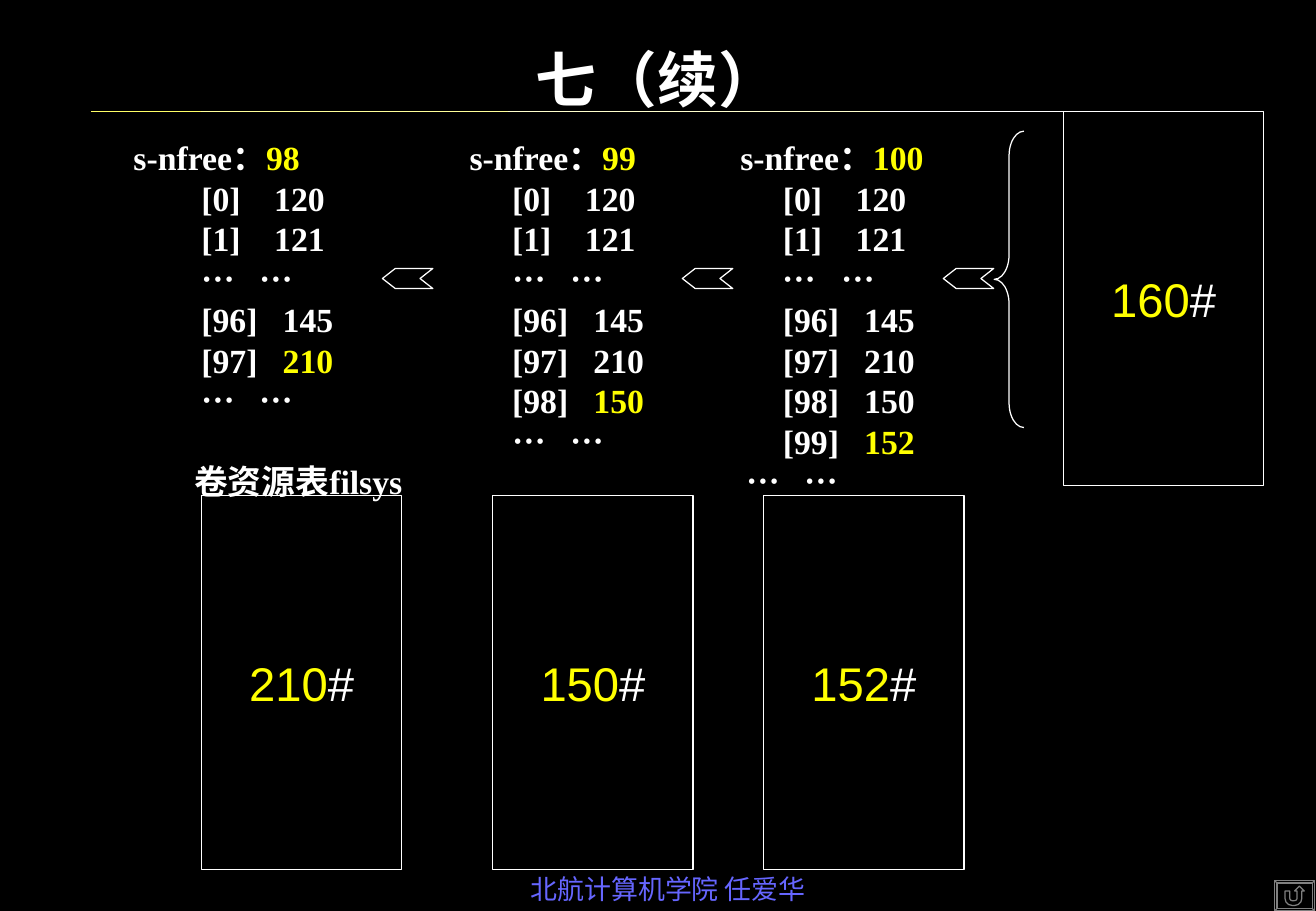
from dataclasses import dataclass

from lxml.etree import SubElement
from pptx import Presentation
from pptx.dml.color import RGBColor
from pptx.enum.shapes import MSO_CONNECTOR, MSO_SHAPE
from pptx.enum.text import MSO_ANCHOR, MSO_AUTO_SIZE, PP_ALIGN
from pptx.oxml.ns import qn
from pptx.util import Inches, Pt


@dataclass(frozen=True)
class Theme:
    black: str = "000000"
    white: str = "FFFFFF"
    yellow: str = "FFFF00"
    footer: str = "6666FF"
    button: str = "808080"
    rules: tuple = ("FFFF66", "FFFF99", "FFFFCC", "FFFFFF")
    title_size: int = 36
    block_size: int = 28
    list_size: int = 20
    footer_size: int = 16
    leading: int = 24
    line: float = 0.75
    latin: str = "Times New Roman"
    cjk: str = "Noto Sans CJK SC"
    heading: str = "Noto Sans CJK JP"
    sans: str = "Arial"


T = Theme()
WIDTH, HEIGHT = Inches(10.84), Inches(7.5)
ENTRIES = [(0, 120), (1, 121), None, (96, 145), (97, 210), (98, 150), (99, 152)]
ELLIPSIS_GAP = 0.48
INDEX_STOP = 0.56


def box(x, y, w, h):
    return int(WIDTH * x / 100), int(HEIGHT * y / 100), int(WIDTH * w / 100), int(HEIGHT * h / 100)


def apply(obj, **values):
    for name, value in values.items():
        setattr(obj, name, value)


def add_run(p, text, size, color, latin, cjk=T.cjk, bold=False):
    r = p.add_run()
    r.text = text
    apply(r.font, size=Pt(size), bold=bold, name=latin)
    r.font.color.rgb = RGBColor.from_string(color)
    SubElement(r.font._element, qn("a:ea")).set("typeface", cjk)


def add_text(slide, area):
    tf = slide.shapes.add_textbox(*box(*area)).text_frame
    tf.word_wrap = True
    return tf


def add_outline(slide, kind, area, color=T.white, adjustments=(), rotation=0):
    sp = slide.shapes.add_shape(kind, *box(*area))
    sp.shadow.inherit = False
    sp.fill.background()
    sp.line.color.rgb = RGBColor.from_string(color)
    sp.line.width = Pt(T.line)
    sp.rotation = rotation
    for i, value in enumerate(adjustments):
        sp.adjustments[i] = value
    return sp


def add_block(slide, x, y, number):
    tf = add_outline(slide, MSO_SHAPE.RECTANGLE, (x, y, 15.22, 41.07)).text_frame
    apply(tf, word_wrap=False, vertical_anchor=MSO_ANCHOR.MIDDLE)
    p = tf.paragraphs[0]
    p.alignment = PP_ALIGN.CENTER
    for text, color in ((str(number), T.yellow), ("#", T.white)):
        add_run(p, text, T.block_size, color, T.sans)


def add_row(tf, stops, parts, before=0):
    p = tf.paragraphs[0] if not tf.paragraphs[0].runs else tf.add_paragraph()
    apply(p, alignment=PP_ALIGN.LEFT, line_spacing=Pt(T.leading), space_before=Pt(before))
    if stops:
        tabs = SubElement(p._p.get_or_add_pPr(), qn("a:tabLst"))
        for stop in stops:
            tab = SubElement(tabs, qn("a:tab"))
            tab.set("pos", str(int(Inches(stop))))
            tab.set("algn", "l")
    for text, color, font in parts:
        add_run(p, text, T.list_size, color, font, bold=True)


def add_ellipsis(tf, start=INDEX_STOP):
    add_row(tf, (start, start + ELLIPSIS_GAP), [("\t…\t…", T.white, T.cjk)])


def add_free_list(slide, x, width, count, header_stop=0, end_stop=INDEX_STOP, caption=None):
    tf = add_text(slide, (x, 14.4, width, 41.33))
    lead = "\t" if header_stop else ""
    add_row(tf, (header_stop,) if header_stop else (),
            [(lead + "s-nfree：", T.white, T.latin), (str(count), T.yellow, T.latin)])
    for entry in ENTRIES:
        if entry is None:
            add_ellipsis(tf)
        elif entry[0] < count:
            index, value = entry
            color = T.yellow if index == count - 1 else T.white
            value_stop = 1.16 if index < 10 else 1.23
            add_row(tf, (INDEX_STOP, value_stop),
                    [(f"\t[{index}]\t", T.white, T.latin), (str(value), color, T.latin)])
    add_ellipsis(tf, end_stop)
    if caption:
        add_row(tf, (0.5,), [("\t" + caption, T.white, T.latin)], T.leading)


def add_rule(slide, start, length, color):
    x, y, w, _ = box(start, 12.27, length, 0)
    line = slide.shapes.add_connector(MSO_CONNECTOR.STRAIGHT, x, y, x + w, y)
    line.line.color.rgb = RGBColor.from_string(color)
    line.line.width = Pt(T.line)
    SubElement(line._element.spPr, qn("a:effectLst"))


def add_title_rule(slide):
    dark, mid, pale, white = T.rules
    for i, color in enumerate((white, white, pale, pale, pale)):
        add_rule(slide, 76.9 - 10 * i, 10, color)
    add_rule(slide, 86.9, 5, white)
    for i, color in enumerate((dark, mid, mid, mid, mid)):
        add_rule(slide, 10.24 + 5 * i, 8.33, color)
    add_rule(slide, 6.9, 6.67, dark)


def add_title(slide, text):
    sp = slide.shapes.title
    apply(sp, **dict(zip(("left", "top", "width", "height"), box(7.47, 5.2, 84.96, 6.67))))
    tf = sp.text_frame
    apply(tf, auto_size=MSO_AUTO_SIZE.NONE, vertical_anchor=MSO_ANCHOR.MIDDLE, word_wrap=True)
    p = tf.paragraphs[0]
    p.alignment = PP_ALIGN.CENTER
    add_run(p, text, T.title_size, T.white, T.heading, T.heading, True)


def add_footer(slide, text):
    p = add_text(slide, (29.24, 95.07, 43.08, 4.93)).paragraphs[0]
    p.alignment = PP_ALIGN.CENTER
    add_run(p, text, T.footer_size, T.footer, T.heading, T.heading)


def add_return_button(slide):
    add_outline(slide, MSO_SHAPE.BEVEL, (96.86, 96.67, 3.04, 3.33), T.button, (0.07,))
    add_outline(slide, MSO_SHAPE.ACTION_BUTTON_RETURN, (97.04, 96.92, 2.68, 2.83), T.button)


def main():
    prs = Presentation()
    apply(prs, slide_width=WIDTH, slide_height=HEIGHT)
    slide = prs.slides.add_slide(prs.slide_layouts[5])
    fill = slide.background.fill
    fill.solid()
    fill.fore_color.rgb = RGBColor.from_string(T.black)

    add_title_rule(slide)
    add_title(slide, "七（续）")
    add_free_list(slide, 9.23, 23.62, 98, caption="卷资源表filsys")
    add_free_list(slide, 32.84, 19, 99, header_stop=0.21)
    add_free_list(slide, 53.41, 19, 100, header_stop=0.21, end_stop=0.26)
    for x in (29.06, 51.85, 71.68):
        add_outline(slide, MSO_SHAPE.CHEVRON, (x, 29.47, 3.83, 2.2), adjustments=(0.64,), rotation=180)
    add_outline(slide, MSO_SHAPE.LEFT_BRACE, (75.55, 14.4, 2.26, 32.53), adjustments=(0.83, 0.5))
    add_block(slide, 80.81, 12.27, 160)
    for x, number in ((15.31, 210), (37.45, 150), (58.03, 152)):
        add_block(slide, x, 54.4, number)
    add_footer(slide, "北航计算机学院 任爱华")
    add_return_button(slide)
    prs.save("out.pptx")


if __name__ == "__main__":
    main()
